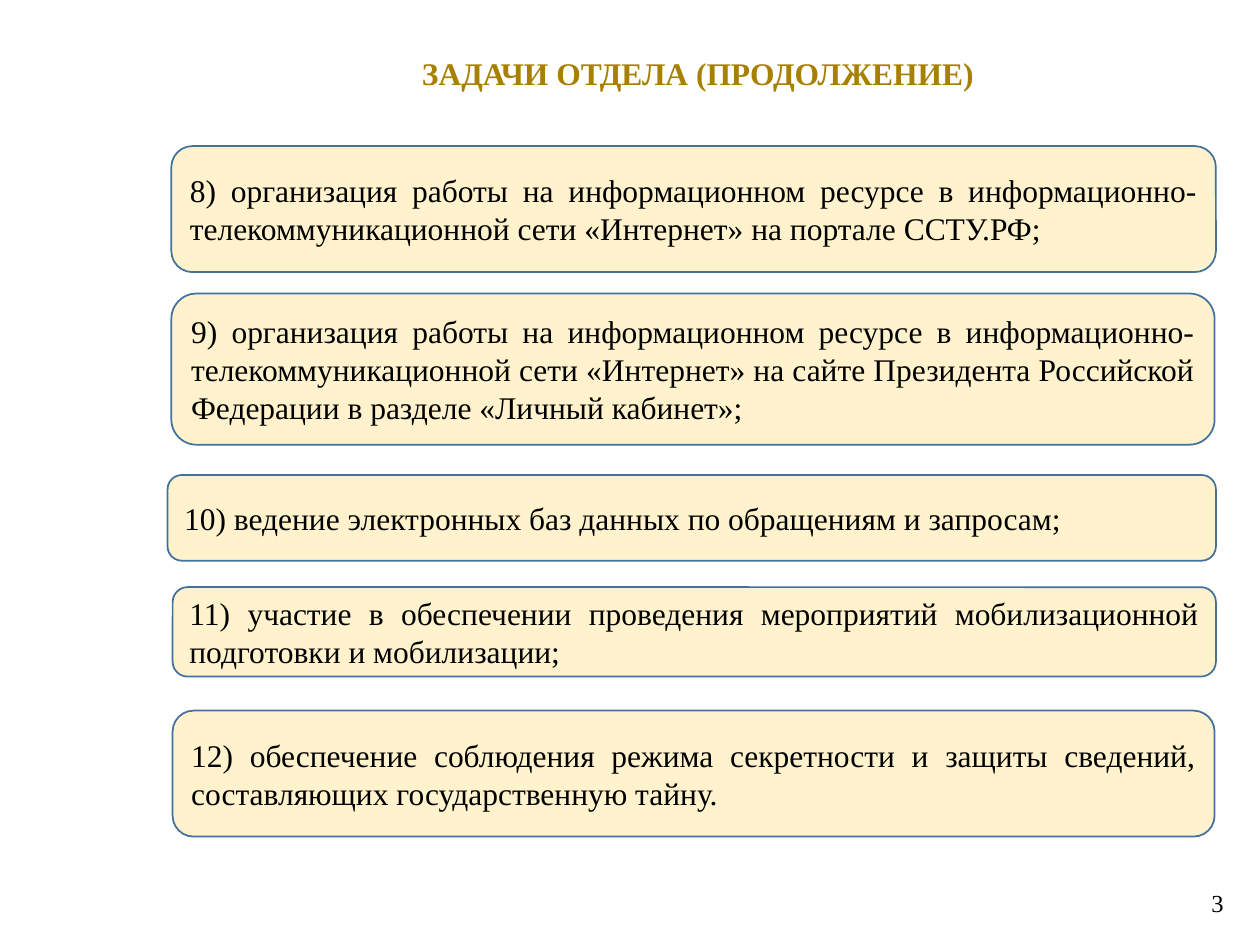
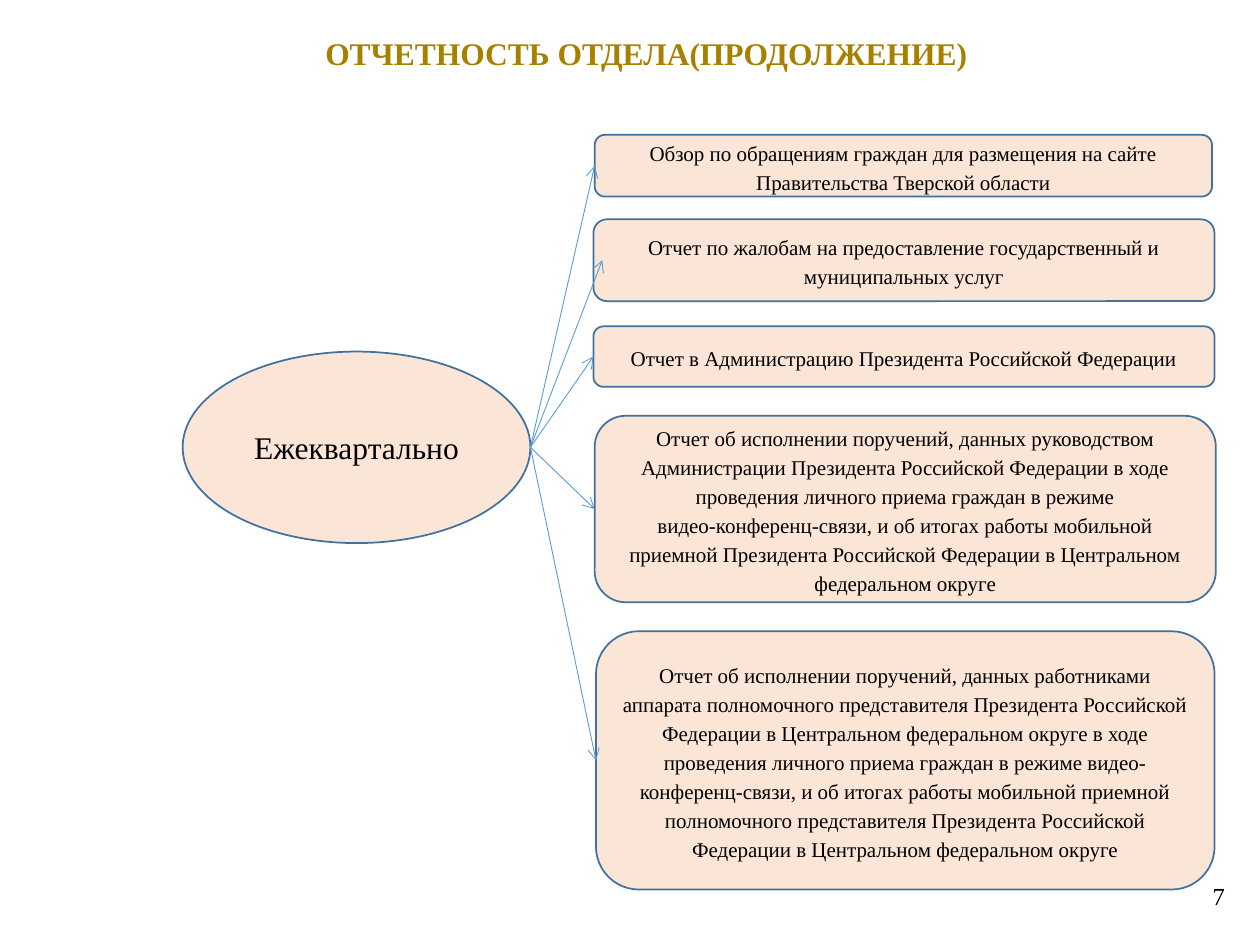
"""Build two slides: the tasks of a department and its quarterly reports."""
from copy import deepcopy

from lxml import etree
from pptx import Presentation
from pptx.dml.color import RGBColor
from pptx.enum import shapes, text
from pptx.oxml import ns
from pptx.util import Inches, Pt

FONT = "Times New Roman"
GOLD, BLACK = "A88000", "000000"
CREAM, PEACH = "FFF2CC", "FBE5D6"
OUTLINE, ARROW = "41719C", "5B9BD5"

TASKS_PAGE = {
    "title": ("ЗАДАЧИ ОТДЕЛА (ПРОДОЛЖЕНИЕ)", (1.86, 0.38, 7.36, 0.58)),
    "number": ("3", (9.42, 7, 0.39, 0.34)),
}
REPORTS_PAGE = {
    "title": ("ОТЧЕТНОСТЬ ОТДЕЛА(ПРОДОЛЖЕНИЕ)", (2.07, 0.22, 6.12, 0.7)),
    "number": ("7", (9.32, 6.94, 0.5, 0.34)),
}
TASKS = [
    ("8) организация работы на информационном ресурсе в информационно-телекоммуникационной сети "
     "«Интернет» на портале ССТУ.РФ;", (1.36, 1.16, 8.29, 1)),
    ("9) организация работы на информационном ресурсе в информационно-телекоммуникационной сети "
     "«Интернет» на сайте Президента Российской Федерации в разделе «Личный кабинет»;",
     (1.36, 2.33, 8.28, 1.2)),
    ("10) ведение электронных баз данных по обращениям и запросам;", (1.33, 3.77, 8.32, 0.68)),
    ("11) участие в обеспечении проведения мероприятий мобилизационной подготовки и мобилизации;",
     (1.37, 4.66, 8.28, 0.71)),
    ("12) обеспечение соблюдения режима секретности и защиты сведений, составляющих "
     "государственную тайну.", (1.37, 5.64, 8.27, 1)),
]
PERIOD = ("Ежеквартально", (1.45, 2.79, 2.76, 1.52))
REPORTS = [
    ("Обзор по обращениям граждан для размещения на сайте Правительства Тверской области",
     (4.72, 1.07, 4.9, 0.49), 0),
    ("Отчет по жалобам на предоставление государственный и муниципальных услуг",
     (4.71, 1.74, 4.93, 0.65), 0.07),
    ("Отчет в Администрацию Президента Российской Федерации", (4.71, 2.59, 4.93, 0.48), 0),
    ("Отчет об исполнении поручений, данных руководством Администрации Президента Российской "
     "Федерации в ходе проведения личного приема граждан в режиме\vвидео-конференц-связи, и об "
     "итогах работы мобильной приемной Президента Российской Федерации в Центральном федеральном "
     "округе", (4.72, 3.3, 4.93, 1.48), 0),
    ("Отчет об исполнении поручений, данных работниками аппарата полномочного представителя "
     "Президента Российской Федерации в Центральном федеральном округе в ходе проведения личного "
     "приема граждан в режиме видео-конференц-связи, и об итогах работы мобильной приемной "
     "полномочного представителя Президента Российской Федерации в Центральном федеральном округе",
     (4.73, 5.01, 4.91, 2.05), 0),
]


def color(target, value):
    target.rgb = RGBColor.from_string(value)


def write(box, words, size=18, ink=BLACK, bold=False, align="CENTER", anchor="MIDDLE", spacing=1):
    frame = box.text_frame
    frame.word_wrap = True
    frame.auto_size = text.MSO_AUTO_SIZE.NONE
    frame.vertical_anchor = text.MSO_ANCHOR[anchor]
    frame.margin_left = frame.margin_right = Inches(0.1)
    frame.margin_top = frame.margin_bottom = Inches(0.05)
    para = frame.paragraphs[0]
    para.text = words
    para.alignment = text.PP_ALIGN[align]
    para.line_spacing = spacing
    for span in para.runs:
        span.font.name, span.font.size, span.font.bold = FONT, Pt(size), bold
        color(span.font.color, ink)
    for line_break in para._p.findall(ns.qn("a:br")):
        line_break.append(deepcopy(para.runs[0]._r.rPr))


def add_page(deck, title, number):
    page = deck.slides.add_slide(deck.slide_layouts[5])
    heading, place = title
    box = page.shapes.title
    box.left, box.top, box.width, box.height = map(Inches, place)
    write(box, heading, ink=GOLD, bold=True, anchor="TOP")
    digits, place = number
    box = page.shapes.add_textbox(*map(Inches, place))
    write(box, digits, size=14, align="RIGHT", anchor="TOP")
    return page


def add_panel(page, words, place, fill, kind="ROUNDED_RECTANGLE", **style):
    box = page.shapes.add_shape(shapes.MSO_SHAPE[kind], *map(Inches, place))
    box.shadow.inherit = False
    box.fill.solid()
    color(box.fill.fore_color, fill)
    color(box.line.color, OUTLINE)
    box.line.width = Pt(1)
    write(box, words, **style)
    return box


def add_arrow(page, source, target, inset):
    arrow = page.shapes.add_connector(
        shapes.MSO_CONNECTOR.STRAIGHT,
        source.left + source.width, source.top + source.height // 2,
        target.left + Inches(inset), target.top + target.height // 2)
    if not inset:
        arrow.end_connect(target, 1)
    color(arrow.line.color, ARROW)
    arrow.line.width = Pt(0.5)
    etree.SubElement(arrow.line._get_or_add_ln(), ns.qn("a:tailEnd"), type="arrow")
    etree.SubElement(arrow._element.spPr, ns.qn("a:effectLst"))


def main():
    deck = Presentation()
    deck.slide_width, deck.slide_height = Inches(10), Inches(7.5)

    page = add_page(deck, **TASKS_PAGE)
    for words, place in TASKS:
        add_panel(page, words, place, CREAM, align="JUSTIFY")

    page = add_page(deck, **REPORTS_PAGE)
    period = add_panel(page, *PERIOD, PEACH, kind="OVAL")
    panels = [add_panel(page, words, place, PEACH, size=12, spacing=1.15)
              for words, place, _ in REPORTS]
    for panel, (_, _, inset) in zip(panels, REPORTS):
        add_arrow(page, period, panel, inset)

    deck.save("out.pptx")


if __name__ == "__main__":
    main()
